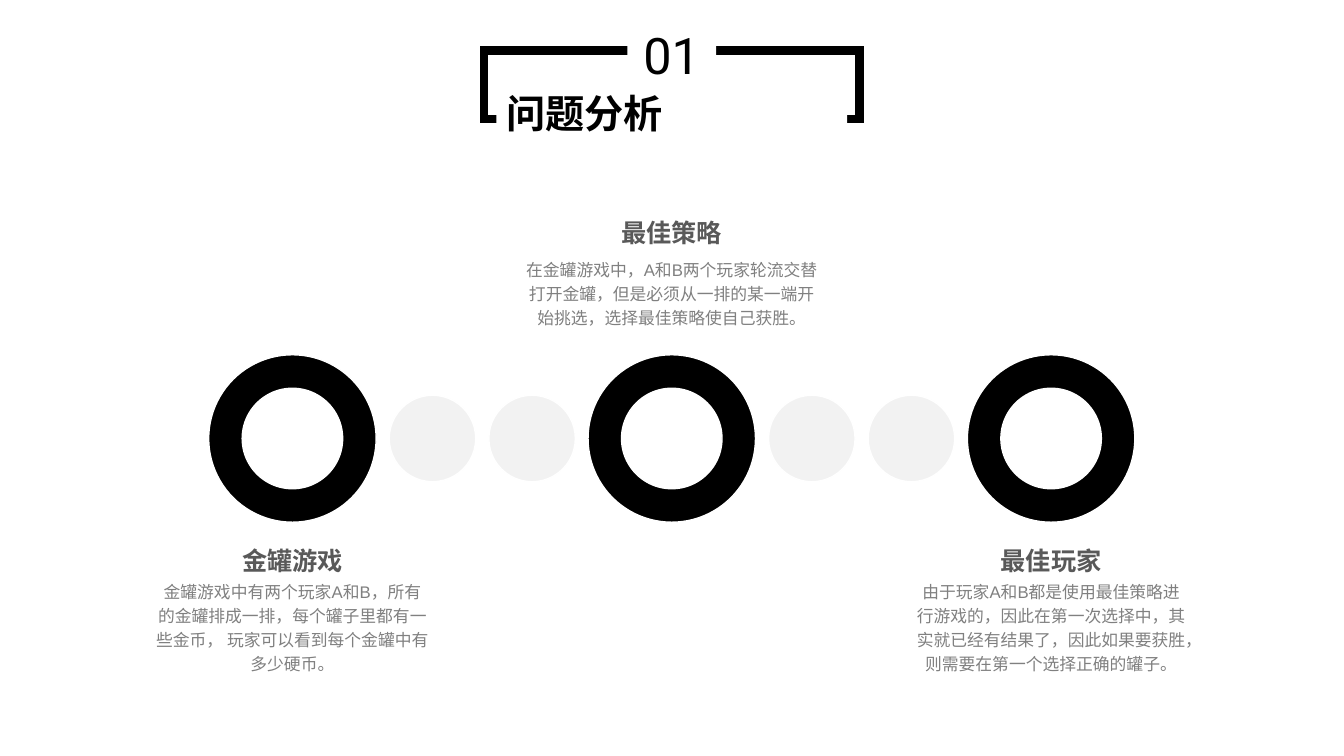
from lxml.etree import SubElement
from pptx import Presentation
from pptx.dml.color import RGBColor
from pptx.enum.shapes import MSO_SHAPE as Shape
from pptx.enum.text import MSO_ANCHOR as Anchor, MSO_AUTO_SIZE as AutoSize, PP_ALIGN as Align
from pptx.oxml.ns import qn
from pptx.util import Cm, Pt

BLACK, WHITE, PALE = "000000", "FFFFFF", "F2F2F2"
HEADING_GREY, BODY_GREY = "595959", "808080"

MIDDLE_X, CHAIN_Y = 16.93, 11.05
RING_PITCH, RING_SIZE = 9.56, 4.22
DOT_SIZE, DOT_OFFSETS = 2.18, (3.53, 6.04)

# heading, heading width and top, body, body width and top, body height
TOPICS = [
    ("金罐游戏", 6.22, 13.46,
     "金罐游戏中有两个玩家A和B，所有的金罐排成一排，每个罐子里都有一些金币， 玩家可以看到每个金罐中有多少硬币。",
     7.37, 14.43, 2.67),
    ("最佳策略", 6.83, 5.21,
     "在金罐游戏中，A和B两个玩家轮流交替打开金罐，但是必须从一排的某一端开始挑选，选择最佳策略使自己获胜。",
     8.1, 6.32, 2.87),
    ("最佳玩家", 6.22, 13.46,
     "由于玩家A和B都是使用最佳策略进行游戏的，因此在第一次选择中，其实就已经有结果了，因此如果要获胜，则需要在第一个选择正确的罐子。",
     7.37, 14.43, 2.67),
]


def colour(hex_value):
    return RGBColor.from_string(hex_value)


def add_form(slide, preset, center_x, top, width, height, fill=None, line=None, weight=1):
    form = slide.shapes.add_shape(
        preset, Cm(center_x - width / 2), Cm(top), Cm(width), Cm(height))
    form.shadow.inherit = False
    if fill:
        form.fill.solid()
        form.fill.fore_color.rgb = colour(fill)
    else:
        form.fill.background()
    if line:
        form.line.color.rgb = colour(line)
        form.line.width = Pt(weight)
        SubElement(form.line._get_or_add_ln(), qn("a:miter"), lim="800000")
    else:
        form.line.fill.background()
    return form


def write(holder, words, size, ink, font, align, bold=False, spacing=None, anchor=Anchor.TOP):
    frame = holder.text_frame
    frame.word_wrap = True
    frame.auto_size = AutoSize.SHAPE_TO_FIT_TEXT
    frame.vertical_anchor = anchor
    paragraph = frame.paragraphs[0]
    paragraph.alignment = align
    if spacing:
        paragraph.line_spacing = spacing
    run = paragraph.add_run()
    run.text = words
    run.font.size = Pt(size)
    run.font.name = font
    run.font.bold = bold
    run.font.color.rgb = colour(ink)


def add_caption(slide, center_x, top, width, height, words, size, ink, bold=False):
    caption = slide.shapes.add_textbox(
        Cm(center_x - width / 2), Cm(top), Cm(width), Cm(height))
    write(caption, words, size, ink, "Arial", Align.CENTER, bold, spacing=1.2)


def add_title(slide):
    add_form(slide, Shape.RECTANGLE, MIDDLE_X, 1.27, 9.47, 1.73, line=BLACK, weight=6)
    number = add_form(slide, Shape.RECTANGLE, MIDDLE_X, 0.46, 2.24, 1.8, fill=WHITE)
    write(number, "01", 36, BLACK, "Roboto", Align.CENTER, anchor=Anchor.MIDDLE)
    title = add_form(slide, Shape.RECTANGLE, MIDDLE_X, 2.11, 8.84, 1.45, fill=WHITE)
    write(title, "问题分析", 28, BLACK, "Roboto", Align.JUSTIFY, True, anchor=Anchor.MIDDLE)


def add_round(slide, preset, center_x, size, fill):
    return add_form(slide, preset, center_x, CHAIN_Y - size / 2, size, size, fill, WHITE)


def main():
    prs = Presentation()
    prs.slide_width, prs.slide_height = Cm(33.87), Cm(19.05)
    slide = prs.slides.add_slide(prs.slide_layouts[6])

    add_title(slide)

    # Chain of rings joined by pale dots, one topic per ring
    for index, topic in enumerate(TOPICS):
        heading, heading_width, heading_top, body, body_width, body_top, body_height = topic
        ring_x = MIDDLE_X + (index - 1) * RING_PITCH
        ring = add_round(slide, Shape.DONUT, ring_x, RING_SIZE, BLACK)
        ring.adjustments[0] = 0.2
        if index < len(TOPICS) - 1:
            for offset in DOT_OFFSETS:
                add_round(slide, Shape.OVAL, ring_x + offset, DOT_SIZE, PALE)
        add_caption(slide, ring_x, body_top, body_width, body_height, body, 12, BODY_GREY)
        add_caption(slide, ring_x, heading_top, heading_width, 1.1, heading, 18,
                    HEADING_GREY, bold=True)

    prs.save("out.pptx")


if __name__ == "__main__":
    main()
